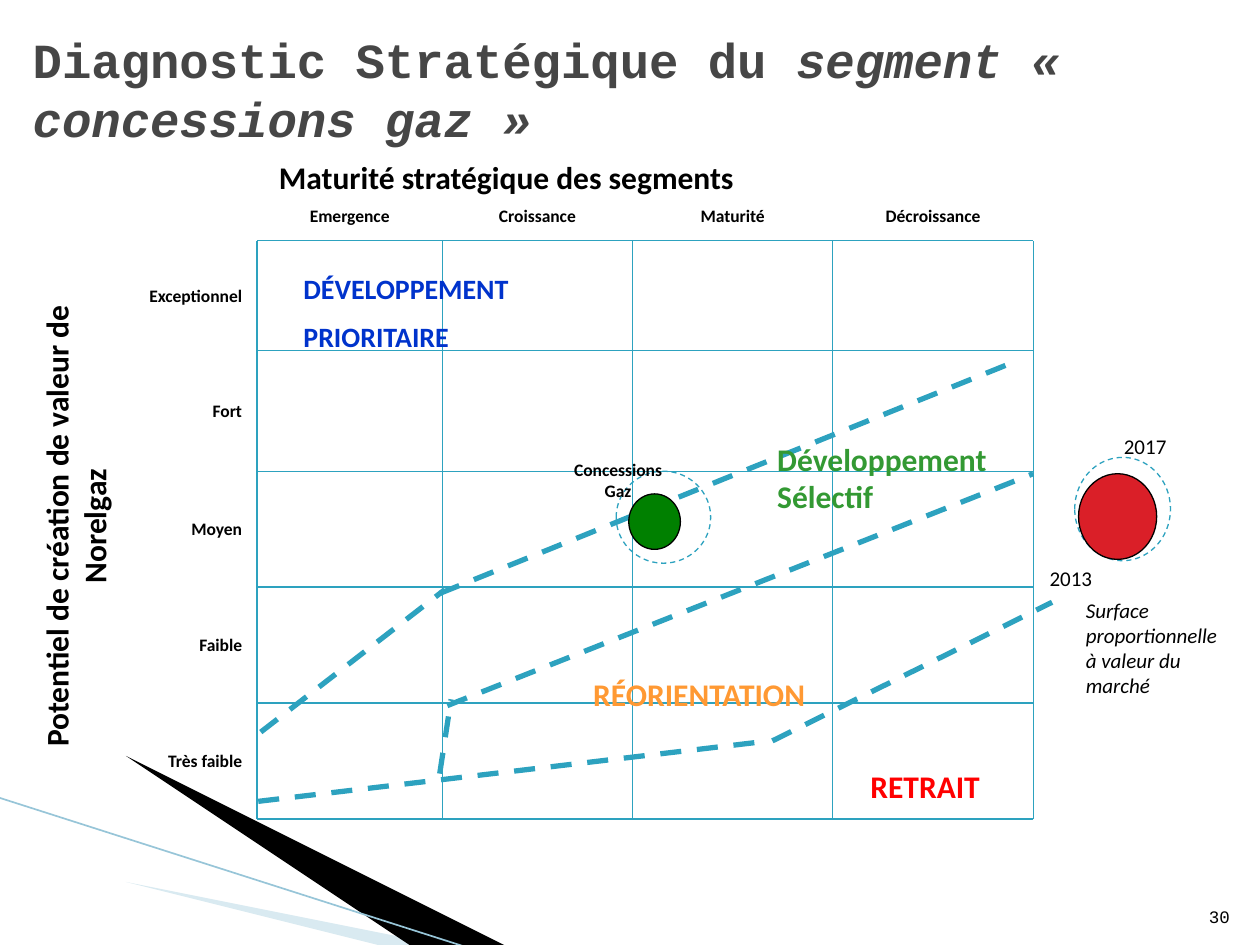
from dataclasses import dataclass
from itertools import pairwise

from lxml import etree
from pptx import Presentation
from pptx.dml.color import RGBColor
from pptx.enum.dml import MSO_LINE
from pptx.enum.shapes import MSO_CONNECTOR, MSO_SHAPE
from pptx.enum.text import MSO_ANCHOR, MSO_AUTO_SIZE, PP_ALIGN
from pptx.oxml.ns import qn
from pptx.util import Inches, Pt

LEFT, CENTER, RIGHT = PP_ALIGN.LEFT, PP_ALIGN.CENTER, PP_ALIGN.RIGHT
TOP, MIDDLE, BOTTOM = MSO_ANCHOR.TOP, MSO_ANCHOR.MIDDLE, MSO_ANCHOR.BOTTOM
OVAL, RECTANGLE = MSO_SHAPE.OVAL, MSO_SHAPE.RECTANGLE
STRAIGHT, DASH = MSO_CONNECTOR.STRAIGHT, MSO_LINE.DASH

TEAL, BLACK, WHITE = "2DA2BF", "000000", "FFFFFF"
COLUMN_EDGES = [2.04, 3.51, 5.02, 6.61, 8.2]
ROW_EDGES = [1.91, 2.78, 3.74, 4.66, 5.58, 6.5]
STAGES = ["Emergence", "Croissance", "Maturité", "Décroissance"]
LEVELS = ["Exceptionnel", "Fort", "Moyen", "Faible", "Très faible"]
LABEL_HEIGHT = 0.27


@dataclass
class Label:
    text: str
    left: float
    top: float
    width: float
    height: float
    size: float
    color: str = BLACK
    bold: bool = True
    italic: bool = False
    align: PP_ALIGN = LEFT
    anchor: MSO_ANCHOR = TOP
    font: str = "Calibri"
    inset: tuple[float, float] = (0.1, 0.05)
    wrap: bool = True
    rotation: float = 0
    paragraph_gap: float = 0


@dataclass
class Bubble:
    left: float
    top: float
    width: float
    height: float
    fill: str | None = None


@dataclass
class Segment:
    x1: float
    y1: float
    x2: float
    y2: float


ZONES = [
    Label("RETRAIT", 6.81, 6.04, 1.42, 0.4, 18, "FF0000"),
    Label("RÉORIENTATION", 4.61, 5.31, 2.35, 0.4, 18, "FF9933"),
    Label("DÉVELOPPEMENT\nPRIORITAIRE", 2.31, 2.11, 4.18, 0.77, 16, "0033CC",
          paragraph_gap=8),
    Label("Développement Sélectif", 6.07, 3.44, 2.21, 0.71, 18, "339933"),
]
BOUNDARIES = [
    Segment(3.49, 4.71, 8.08, 2.86),
    Segment(2.05, 6.36, 6.11, 5.88),
    Segment(6.13, 5.88, 8.35, 4.78),
    Segment(3.55, 5.6, 8.2, 3.76),
    Segment(2.07, 5.81, 3.53, 4.68),
    Segment(3.49, 6.14, 3.58, 5.55),
]
CONCESSION_BUBBLES = [
    Bubble(4.89, 3.74, 0.75, 0.73),
    Bubble(4.99, 3.92, 0.41, 0.44, "008000"),
]
LEGEND_BUBBLES = [
    Bubble(8.53, 3.63, 0.76, 0.82),
    Bubble(8.56, 3.76, 0.62, 0.68, "DA1F28"),
]
LEGEND = [
    Label("2013", 8.31, 4.47, 0.66, 0.24, 12, bold=False, inset=(0.02, 0.02)),
    Label("2017", 8.9, 3.42, 0.66, 0.24, 12, bold=False, inset=(0.02, 0.02)),
    Label("Surface proportionnelle à valeur du marché", 8.52, 4.69, 1.26, 0.91,
          12, bold=False, italic=True),
]


def rgb(value: str) -> RGBColor:
    return RGBColor.from_string(value)


def write_text(shape, label: Label) -> None:
    frame = shape.text_frame
    frame.text = label.text
    frame.word_wrap = label.wrap
    frame.auto_size = MSO_AUTO_SIZE.NONE
    frame.vertical_anchor = label.anchor
    frame.margin_left = frame.margin_right = Inches(label.inset[0])
    frame.margin_top = frame.margin_bottom = Inches(label.inset[1])
    for index, paragraph in enumerate(frame.paragraphs):
        paragraph.alignment = label.align
        if index:
            paragraph.space_before = Pt(label.paragraph_gap)
        font = paragraph.font
        font.name, font.size = label.font, Pt(label.size)
        font.bold, font.italic = label.bold, label.italic
        font.color.rgb = rgb(label.color)


def frame_of(item: Label | Bubble) -> list[int]:
    return [Inches(v) for v in (item.left, item.top, item.width, item.height)]


def add_label(shapes, label: Label) -> None:
    box = shapes.add_textbox(*frame_of(label))
    box.rotation = label.rotation
    write_text(box, label)


def add_bubble(shapes, bubble: Bubble) -> None:
    """Filled bubbles are solid-edged; empty ones have a dashed edge."""
    oval = shapes.add_shape(OVAL, *frame_of(bubble))
    oval.shadow.inherit = False
    oval.line.width = Pt(0.75)
    if bubble.fill:
        oval.fill.solid()
        oval.fill.fore_color.rgb = rgb(bubble.fill)
        oval.line.color.rgb = rgb(BLACK)
    else:
        oval.fill.background()
        oval.line.color.rgb = rgb(TEAL)
        oval.line.dash_style = DASH


def add_line(shapes, line: Segment, color: str = TEAL, width: float = 0.75,
             dashed: bool = False) -> None:
    ends = [Inches(v) for v in (line.x1, line.y1, line.x2, line.y2)]
    connector = shapes.add_connector(STRAIGHT, *ends)
    connector.line.color.rgb = rgb(color)
    connector.line.width = Pt(width)
    if dashed:
        connector.line.dash_style = DASH
    etree.SubElement(connector._element.spPr, qn("a:effectLst"))


def add_wedge(shapes, points: list[tuple[float, float]], color: str,
              opacity: int = 100) -> None:
    builder = shapes.build_freeform(*points[0], scale=Inches(1))
    builder.add_line_segments(points[1:], close=True)
    wedge = builder.convert_to_shape()
    wedge.shadow.inherit = False
    wedge.line.fill.background()
    wedge.fill.solid()
    wedge.fill.fore_color.rgb = rgb(color)
    if opacity < 100:
        tint = wedge._element.spPr.find(qn("a:solidFill"))[0]
        etree.SubElement(tint, qn("a:alpha"), val=str(opacity * 1000))


def add_matrix(shapes) -> None:
    left, right = COLUMN_EDGES[0], COLUMN_EDGES[-1]
    top, bottom = ROW_EDGES[0], ROW_EDGES[-1]
    for x in COLUMN_EDGES:
        add_line(shapes, Segment(x, bottom, x, top))
    for y in ROW_EDGES:
        add_line(shapes, Segment(left, y, right, y))
    for stage, (start, end) in zip(STAGES, pairwise(COLUMN_EDGES)):
        add_label(shapes, Label(stage, (start + end) / 2 - 0.54, 1.58, 1.08,
                                LABEL_HEIGHT, 10, align=CENTER))
    for level, (start, end) in zip(LEVELS, pairwise(ROW_EDGES)):
        add_label(shapes, Label(level, 0.38, (start + end - LABEL_HEIGHT) / 2,
                                1.64, LABEL_HEIGHT, 10, align=RIGHT))


def add_title(slide) -> None:
    title = slide.shapes.title
    heading = Label("Diagnostic Stratégique du ", 0.16, 0.08, 8.88, 1.25, 28,
                    "464646", anchor=MIDDLE, font="Courier New")
    title.left, title.top, title.width, title.height = frame_of(heading)
    write_text(title, heading)
    segment = title.text_frame.paragraphs[0].add_run()
    segment.text = "segment « concessions gaz »"
    segment.font.italic = True


def add_axis_titles(shapes) -> None:
    add_label(shapes, Label("Potentiel de création de valeur de Norelgaz", -1.7,
                            3.82, 4.6, 0.71, 18, align=CENTER, rotation=270))
    maturity = Label("Maturité stratégique des segments", 0.62, 1.25, 6.8, 0.31,
                     18, align=CENTER, anchor=MIDDLE, inset=(0.07, 0.04),
                     wrap=False)
    band = shapes.add_shape(RECTANGLE, *frame_of(maturity))
    band.shadow.inherit = False
    band.fill.background()
    band.line.color.rgb = rgb(WHITE)
    band.line.width = Pt(0.75)
    write_text(band, maturity)


def main() -> None:
    deck = Presentation()
    deck.slide_width, deck.slide_height = Inches(10), Inches(7.5)
    slide = deck.slides.add_slide(deck.slide_layouts[5])
    shapes = slide.shapes

    add_wedge(shapes, [(0.55, 6.51), (5.95, 7.51), (4.56, 7.51)], "A0CBDC", 40)
    add_wedge(shapes, [(0.53, 6.49), (4.57, 7.51), (3.72, 7.52)], BLACK)
    add_line(shapes, Segment(-0.01, 6.33, 3.71, 7.52), "97C5D8", 0.95)

    add_matrix(shapes)
    add_axis_titles(shapes)
    for boundary in BOUNDARIES:
        add_line(shapes, boundary, width=3, dashed=True)
    for zone in ZONES:
        add_label(shapes, zone)

    concessions = shapes.add_group_shape().shapes
    for bubble in CONCESSION_BUBBLES:
        add_bubble(concessions, bubble)
    add_label(concessions, Label("Concessions\vGaz", 4.45, 3.59, 0.91, 0.44, 10,
                                 align=CENTER, wrap=False))

    add_title(slide)
    for bubble in LEGEND_BUBBLES:
        add_bubble(shapes, bubble)
    for note in LEGEND:
        add_label(shapes, note)
    add_label(shapes, Label("30", 9.46, 7.01, 0.4, 0.4, 10, bold=False,
                            align=RIGHT, anchor=BOTTOM, font="Courier New"))
    deck.save("out.pptx")


if __name__ == "__main__":
    main()
